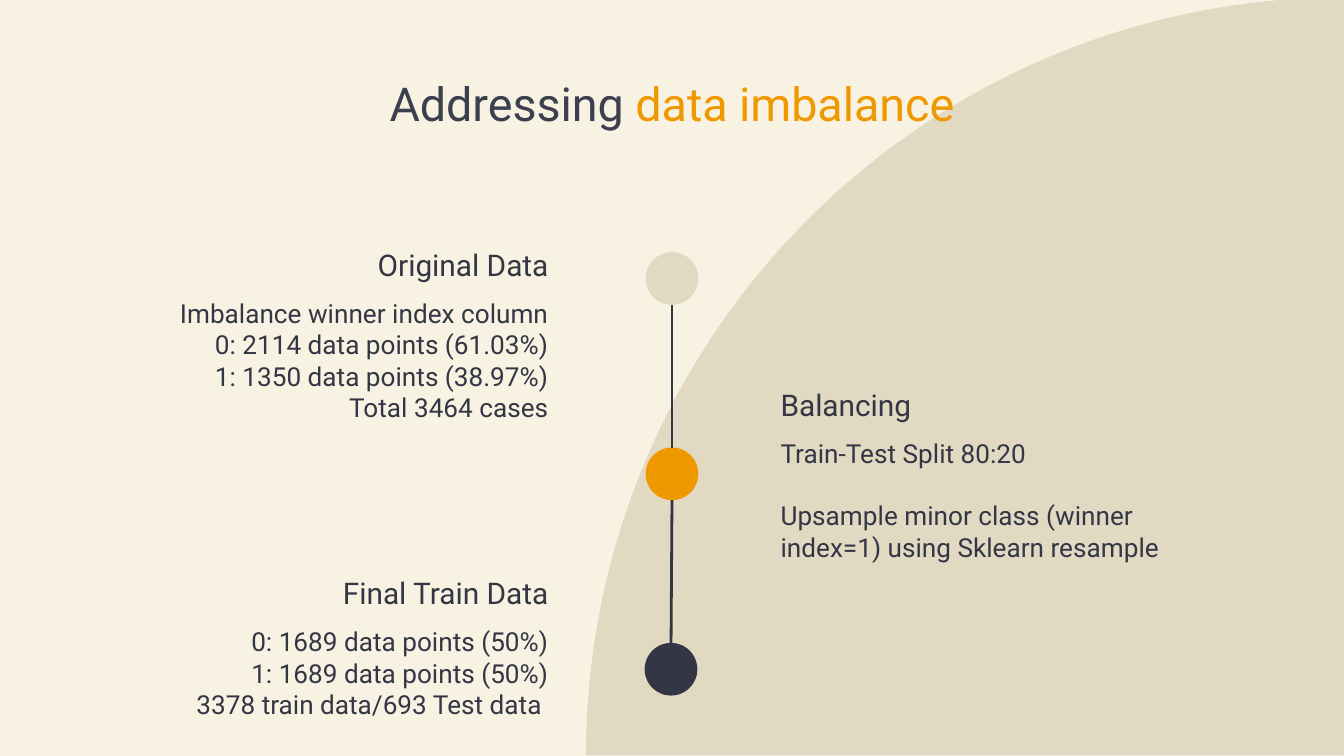
from lxml import etree
from pptx import Presentation
from pptx import util as u
from pptx.dml.color import RGBColor
from pptx.enum import shapes, text
from pptx.oxml.ns import qn

CREAM = RGBColor(0xF7, 0xF2, 0xE2)
SAND = RGBColor(0xE2, 0xD9, 0xC3)
ORANGE = RGBColor(0xF0, 0x98, 0x00)
NAVY = RGBColor(0x33, 0x36, 0x44)
SLATE = RGBColor(0x3C, 0x3F, 0x4E)

COLUMNS = 100
ROWS = COLUMNS * 9 / 16
LEFT, RIGHT, CENTER = text.PP_ALIGN.LEFT, text.PP_ALIGN.RIGHT, text.PP_ALIGN.CENTER
TOP, BOTTOM = text.MSO_ANCHOR.TOP, text.MSO_ANCHOR.BOTTOM


class Deck:
    font = "Roboto"
    inset = u.Inches(0.1)

    def __init__(self):
        self.prs = Presentation()
        self.prs.slide_width = u.Inches(10)
        self.prs.slide_height = u.Inches(10 * 9 / 16)
        self.slide = self.prs.slides.add_slide(self.prs.slide_layouts[5])
        self.slide.background.fill.solid()
        self.slide.background.fill.fore_color.rgb = CREAM

    def grid(self, *lengths):
        units = (self.prs.slide_width / COLUMNS, self.prs.slide_height / ROWS)
        return [round(n * units[i % 2]) for i, n in enumerate(lengths)]

    def frame(self, box, anchor):
        frame = box.text_frame
        frame.word_wrap = True
        frame.auto_size = text.MSO_AUTO_SIZE.NONE
        frame.vertical_anchor = anchor
        frame.margin_left = frame.margin_right = self.inset
        frame.margin_top = frame.margin_bottom = self.inset
        return frame

    def style(self, run, size, color):
        run.font.name = self.font
        run.font.size = u.Pt(size)
        run.font.color.rgb = color

    def title(self, area, parts):
        title = self.slide.shapes.title
        title.left, title.top, title.width, title.height = self.grid(*area)
        heading = self.frame(title, TOP).paragraphs[0]
        heading.alignment = CENTER
        for words, color in parts:
            run = heading.add_run()
            run.text = words
            self.style(run, 25, color)

    def text(self, area, lines, size, align, anchor=TOP, gap=0):
        frame = self.frame(self.slide.shapes.add_textbox(*self.grid(*area)), anchor)
        frame.text = "\n".join(lines)
        for i, paragraph in enumerate(frame.paragraphs):
            paragraph.alignment = align
            if i:
                paragraph.space_before = u.Pt(gap)
            for run in paragraph.runs:
                self.style(run, size, NAVY)

    def shape(self, kind, area, color):
        shape = self.slide.shapes.add_shape(kind, *self.grid(*area))
        shape.shadow.inherit = False
        shape.fill.solid()
        shape.fill.fore_color.rgb = color
        shape.line.fill.background()
        return shape

    def backdrop(self, area, color):
        quarter = self.shape(shapes.MSO_SHAPE.PIE, area, color)
        quarter.adjustments[0] = 108
        quarter.adjustments[1] = 162
        self.slide.shapes._spTree.insert(2, quarter._element)

    def line(self, ends):
        line = self.slide.shapes.add_connector(
            shapes.MSO_CONNECTOR.STRAIGHT, *self.grid(*ends))
        line.line.color.rgb = NAVY
        line.line.width = u.Pt(1.5)
        etree.SubElement(line._element.spPr, qn("a:effectLst"))


def main():
    deck = Deck()
    deck.backdrop((43.6, -0.2, 112.8, 112.8), SAND)
    deck.title((13, 4.55, 74, 7.2),
               [("Addressing ", SLATE), ("data imbalance", ORANGE)])

    stages = [
        (7.8, 16.5, 10.4, RIGHT, 0, "Original Data",
         ["Imbalance winner index column", "0: 2114 data points (61.03%)",
          "1: 1350 data points (38.97%)", "Total 3464 cases"]),
        (57.1, 26.9, 9.5, LEFT, 16.8, "Balancing",
         ["Train-Test Split 80:20",
          "Upsample minor class (winner index=1) using Sklearn resample"]),
        (7.8, 40.95, 6.3, RIGHT, 0, "Final Train Data",
         ["0: 1689 data points (50%)", "1: 1689 data points (50%)",
          "3378 train data/693 Test data "]),
    ]
    for left, top, height, align, gap, heading, details in stages:
        deck.text((left, top, 34, 5.5), [heading], 16, align, BOTTOM)
        deck.text((left, top + 4.62, 34, height), details, 14, align, gap=gap)

    dot, first, pitch = 3.92, 18.76, 14.54
    axes = (50, 50, 49.93)
    for i, (axis, color) in enumerate(zip(axes, (SAND, ORANGE, NAVY))):
        top = first + i * pitch
        deck.shape(shapes.MSO_SHAPE.OVAL, (axis - dot / 2, top, dot, dot), color)
        if i:
            deck.line((axes[i - 1], top - pitch + dot, axis, top))

    deck.prs.save("out.pptx")


if __name__ == "__main__":
    main()
